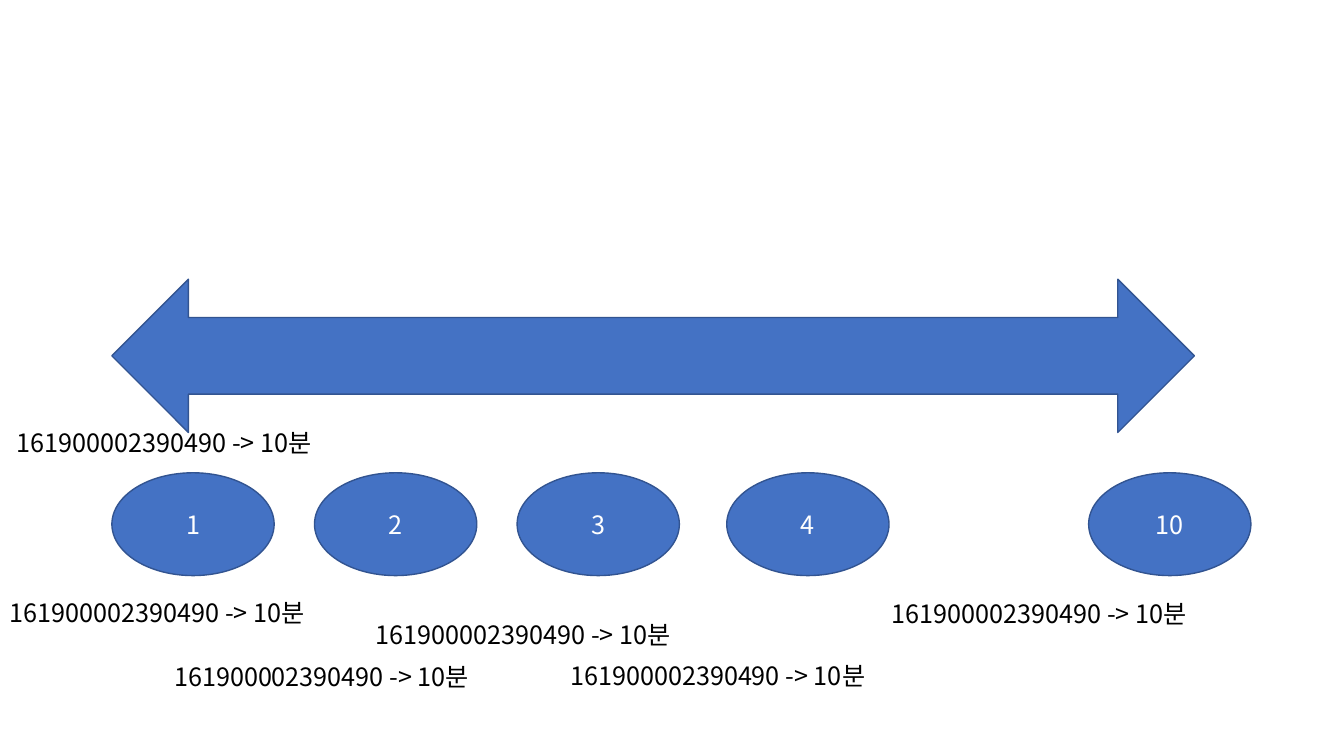
"""Build a timeline slide with numbered steps and time labels."""
import dataclasses

import lxml.etree
import pptx
import pptx.dml.color
import pptx.enum.shapes
import pptx.enum.text
import pptx.oxml.ns
import pptx.shapes.autoshape
import pptx.slide
import pptx.util

COLORS = {"fill": "4472C4", "outline": "325491", "light": "FFFFFF", "dark": "000000"}
FONT = "Noto Sans CJK KR"
LABEL_TEXT = "161900002390490 -> 10분"
STEP_TOP, STEP_WIDTH, STEP_HEIGHT = 337.68, 115.92, 73.44
LABEL_WIDTH, LABEL_HEIGHT = 330.48, 28.8


@dataclasses.dataclass(frozen=True)
class Step:
    number: int
    left: float


@dataclasses.dataclass(frozen=True)
class Label:
    left: float
    top: float


STEPS = [
    Step(1, 79.92),
    Step(2, 224.64),
    Step(3, 369.36),
    Step(4, 519.12),
    Step(10, 777.6),
]
LABELS = [
    Label(0, 423.36),
    Label(117.36, 468.72),
    Label(261.36, 438.48),
    Label(400.32, 468),
    Label(630, 424.08),
    Label(5.04, 301.68),
]


def color(name: str) -> pptx.dml.color.RGBColor:
    return pptx.dml.color.RGBColor.from_string(COLORS[name])


def write_text(
    shape: pptx.shapes.autoshape.Shape,
    text: str,
    *,
    color_name: str,
    alignment: pptx.enum.text.PP_ALIGN = pptx.enum.text.PP_ALIGN.LEFT,
    anchor: pptx.enum.text.MSO_ANCHOR = pptx.enum.text.MSO_ANCHOR.TOP,
    size: float = 18,
) -> None:
    frame = shape.text_frame
    frame.word_wrap = True
    frame.vertical_anchor = anchor
    paragraph = frame.paragraphs[0]
    paragraph.alignment = alignment
    run = paragraph.add_run()
    run.text = text
    run.font.size = pptx.util.Pt(size)
    run.font.name = FONT
    run.font.color.rgb = color(color_name)
    east_asian = lxml.etree.SubElement(run.font._element, pptx.oxml.ns.qn("a:ea"))
    east_asian.set("typeface", FONT)


def add_block(
    slide: pptx.slide.Slide,
    kind: pptx.enum.shapes.MSO_SHAPE,
    left: float,
    top: float,
    width: float,
    height: float,
) -> pptx.shapes.autoshape.Shape:
    shape = slide.shapes.add_shape(kind, *map(pptx.util.Pt, (left, top, width, height)))
    shape.shadow.inherit = False
    shape.fill.solid()
    shape.fill.fore_color.rgb = color("fill")
    shape.line.color.rgb = color("outline")
    shape.line.width = pptx.util.Pt(1)
    return shape


def add_step(slide: pptx.slide.Slide, step: Step) -> None:
    oval = add_block(
        slide, pptx.enum.shapes.MSO_SHAPE.OVAL,
        step.left, STEP_TOP, STEP_WIDTH, STEP_HEIGHT,
    )
    write_text(
        oval, str(step.number), color_name="light",
        alignment=pptx.enum.text.PP_ALIGN.CENTER,
        anchor=pptx.enum.text.MSO_ANCHOR.MIDDLE,
    )


def add_label(slide: pptx.slide.Slide, label: Label) -> None:
    box = slide.shapes.add_textbox(
        *map(pptx.util.Pt, (label.left, label.top, LABEL_WIDTH, LABEL_HEIGHT))
    )
    write_text(box, LABEL_TEXT, color_name="dark")
    box.text_frame.auto_size = pptx.enum.text.MSO_AUTO_SIZE.SHAPE_TO_FIT_TEXT


def main() -> None:
    presentation = pptx.Presentation()
    presentation.slide_width = pptx.util.Pt(960)
    presentation.slide_height = pptx.util.Pt(540)
    slide = presentation.slides.add_slide(presentation.slide_layouts[6])
    add_block(
        slide, pptx.enum.shapes.MSO_SHAPE.LEFT_RIGHT_ARROW,
        STEPS[0].left, 199.44, 773.28, 109.44,
    )
    for step in STEPS:
        add_step(slide, step)
    for label in LABELS:
        add_label(slide, label)
    presentation.save("out.pptx")


if __name__ == "__main__":
    main()
